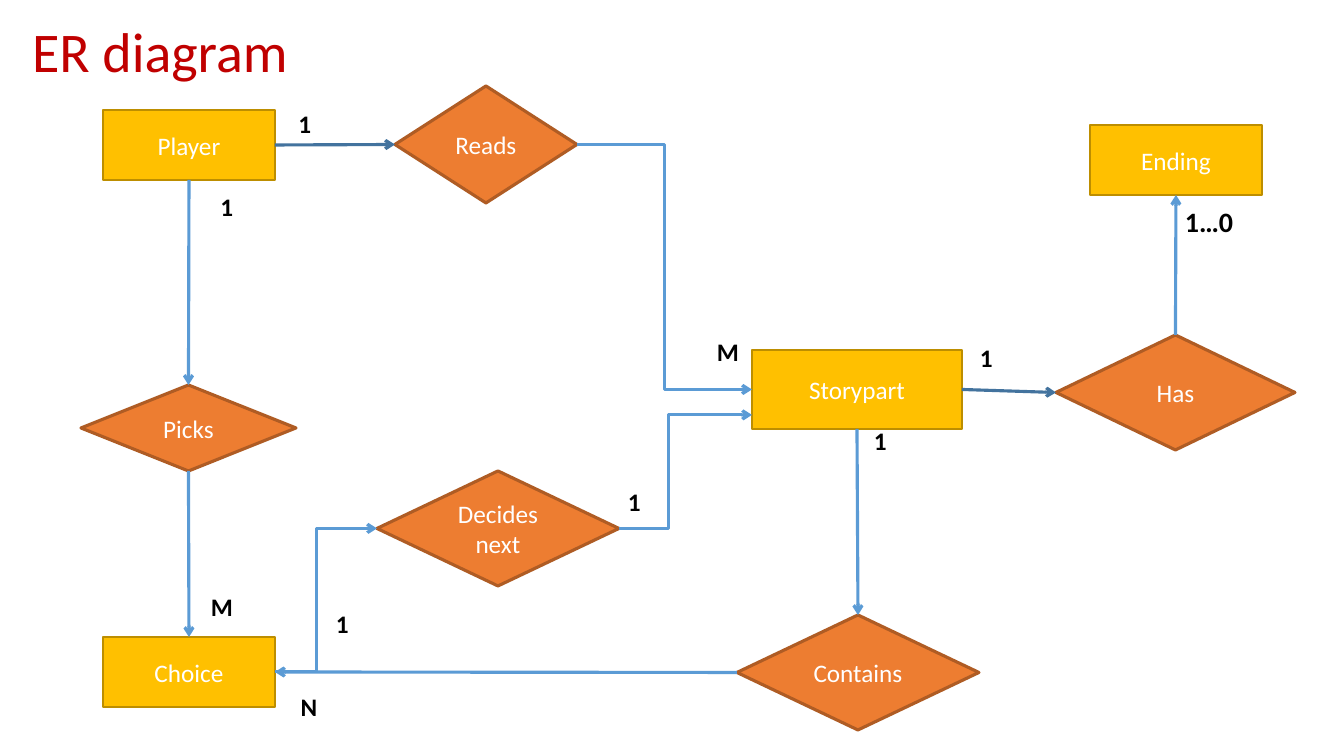
from lxml.etree import SubElement
from pptx import Presentation
from pptx.dml.color import RGBColor
from pptx.enum.shapes import MSO_CONNECTOR, MSO_SHAPE
from pptx.enum.text import MSO_ANCHOR, MSO_AUTO_SIZE, PP_ALIGN
from pptx.oxml.ns import qn
from pptx.util import Pt

PIXEL = 914400 / 100.8
COLORS = {
    "title": "C00000", "label": "000000", "node_text": "FFFFFF",
    "entity": "FFC000", "entity_line": "BD8E00",
    "relation": "ED7D31", "relation_line": "AF5C24",
    "arrow": "5B9BD5", "dark_arrow": "43739E",
}
TOP, LEFT, BOTTOM, RIGHT = range(4)  # connection sites of rectangles and diamonds


def px(value):
    return round(value * PIXEL)


def color(name):
    return RGBColor.from_string(COLORS[name])


def write(shape, text, size=18, fill="label", bold=False,
          align=PP_ALIGN.LEFT, anchor=MSO_ANCHOR.TOP):
    frame = shape.text_frame
    frame.word_wrap = True
    frame.auto_size = MSO_AUTO_SIZE.NONE
    frame.vertical_anchor = anchor
    frame.text = text
    for paragraph in frame.paragraphs:
        paragraph.alignment = align
        font = paragraph.runs[0].font
        font.name, font.size, font.bold = "Calibri", Pt(size), bold
        font.color.rgb = color(fill)


def add_title(slide, text, box):
    title = slide.shapes.title
    title.left, title.top, title.width, title.height = map(px, box)
    write(title, text, size=40, fill="title")


def add_node(slide, text, box, kind):
    preset, line_width = {"entity": (MSO_SHAPE.RECTANGLE, 1),
                          "relation": (MSO_SHAPE.DIAMOND, 2.25)}[kind]
    shape = slide.shapes.add_shape(preset, *map(px, box))
    shape.shadow.inherit = False
    shape.fill.solid()
    shape.fill.fore_color.rgb = color(kind)
    shape.line.color.rgb = color(kind + "_line")
    shape.line.width = Pt(line_width)
    write(shape, text, fill="node_text", align=PP_ALIGN.CENTER, anchor=MSO_ANCHOR.MIDDLE)
    return shape


def add_label(slide, text, box, **text_format):
    write(slide.shapes.add_textbox(*map(px, box)), text, bold=True, **text_format)


def site_point(shape, site):
    across = {LEFT: 0, RIGHT: 1}.get(site, 0.5)
    down = {TOP: 0, BOTTOM: 1}.get(site, 0.5)
    return round(shape.left + shape.width * across), round(shape.top + shape.height * down)


def add_arrow(slide, source, source_site, target, target_site,
              bend=None, end=None, stroke="arrow"):
    """Join two sites; bend is the elbow's share of the width, end a free end point."""
    kind = MSO_CONNECTOR.STRAIGHT if bend is None else MSO_CONNECTOR.ELBOW
    finish = end or site_point(target, target_site)
    connector = slide.shapes.add_connector(kind, *site_point(source, source_site), *finish)
    connector.begin_connect(source, source_site)
    if end is None:
        connector.end_connect(target, target_site)
    connector.line.color.rgb = color(stroke)
    connector.line.width = Pt(2.25)
    properties = connector._element.spPr
    SubElement(connector.line._get_or_add_ln(), qn("a:tailEnd"), type="arrow")
    SubElement(properties, qn("a:effectLst"))
    if bend is not None:
        geometry = properties.find(qn("a:prstGeom"))
        adjustments = geometry.find(qn("a:avLst"))
        if adjustments is None:
            adjustments = SubElement(geometry, qn("a:avLst"))
        SubElement(adjustments, qn("a:gd"), name="adj1", fmla=f"val {round(bend * 100000)}")


def add_diagram(slide, left, top):
    def place(x, y, width, height):
        return left + x, top + y, width, height

    # Entities and relations
    nodes = {text: add_node(slide, text, place(*box), kind) for text, kind, box in [
        ("Player", "entity", (103, 110, 172, 70)),
        ("Choice", "entity", (103, 637, 172, 70)),
        ("Ending", "entity", (1090, 125, 172, 70)),
        ("Storypart", "entity", (752, 350, 210, 79)),
        ("Reads", "relation", (395, 86, 182, 117)),
        ("Picks", "relation", (81, 385, 215, 86)),
        ("Decides\nnext", "relation", (377, 471, 242, 115)),
        ("Contains", "relation", (737, 615, 242, 115)),
        ("Has", "relation", (1056, 335, 239, 115)),
    ]}
    player, choice, ending, storypart, reads, picks, decides, contains, has = nodes.values()

    # Arrows
    add_arrow(slide, player, RIGHT, reads, LEFT, stroke="dark_arrow")
    add_arrow(slide, storypart, RIGHT, has, LEFT, stroke="dark_arrow")
    add_arrow(slide, player, BOTTOM, picks, TOP)
    add_arrow(slide, picks, BOTTOM, choice, TOP)
    add_arrow(slide, storypart, BOTTOM, contains, TOP)
    add_arrow(slide, contains, LEFT, choice, RIGHT)
    add_arrow(slide, has, TOP, ending, BOTTOM)
    add_arrow(slide, reads, RIGHT, storypart, LEFT, bend=0.5)
    add_arrow(slide, choice, RIGHT, decides, LEFT, bend=0.41)
    lower_entry = (storypart.left, px(top + 415))
    add_arrow(slide, decides, RIGHT, storypart, LEFT, bend=0.37, end=lower_entry)

    # Cardinalities
    for text, x, y in [(" 1", 275, 103), (" 1", 197, 186), ("N", 282, 686)]:
        add_label(slide, text, place(x, y, 54, 40), align=PP_ALIGN.CENTER)
    for text, x, y in [("1", 970, 337), ("1", 864, 420), ("1", 618, 481),
                       ("1", 326, 603), ("M", 201, 586), ("M", 707, 331)]:
        add_label(slide, text, place(x, y, 46, 40))
    add_label(slide, "1…0", place(1175, 200, 72, 44), size=20)


presentation = Presentation()
presentation.slide_width, presentation.slide_height = px(1344), px(756)
slide = presentation.slides.add_slide(presentation.slide_layouts[5])
add_title(slide, "ER diagram", (22, 11, 336, 78))
add_diagram(slide, 0, 0)
presentation.save("out.pptx")
